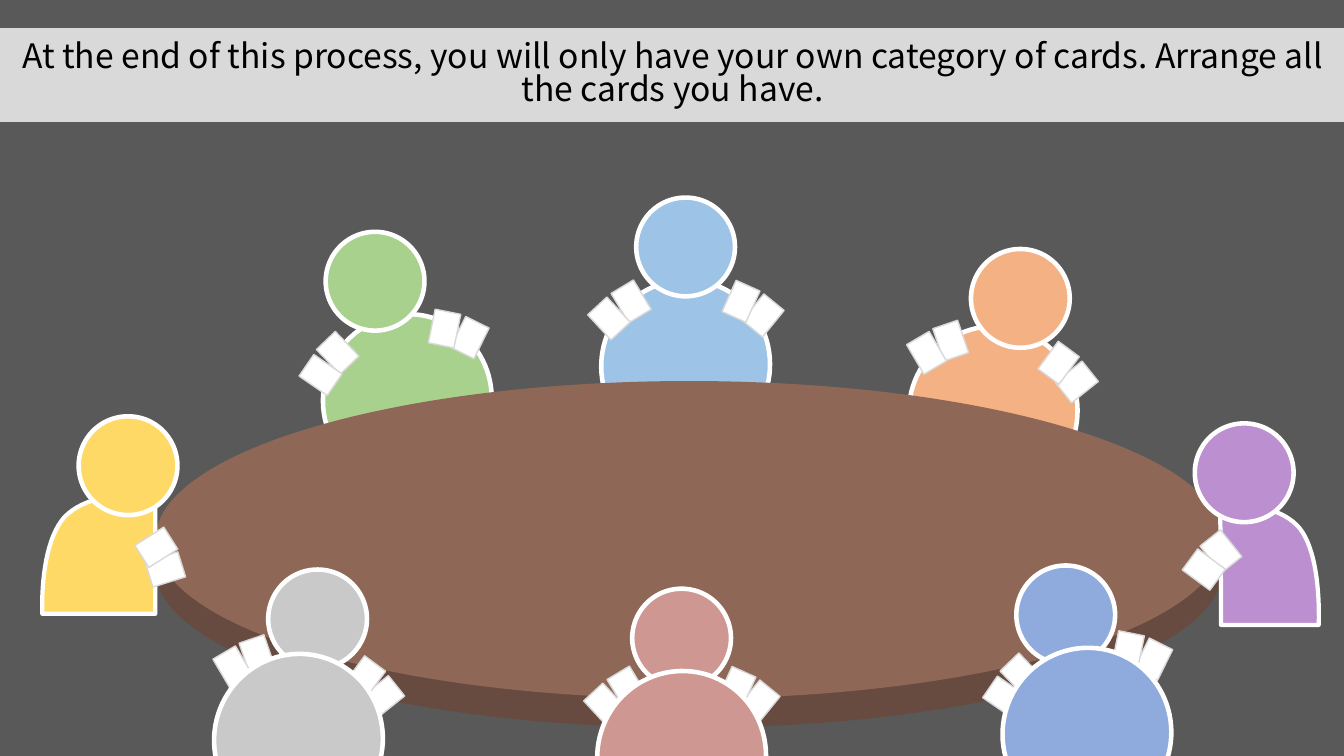
from collections import namedtuple
from dataclasses import dataclass

from pptx import Presentation
from pptx.dml.color import RGBColor
from pptx.enum.shapes import MSO_SHAPE
from pptx.enum.text import MSO_ANCHOR, MSO_AUTO_SIZE, PP_ALIGN
from pptx.util import Inches, Pt


@dataclass(frozen=True)
class Theme:
    back: str = "595959"
    band: str = "D9D9D9"
    ink: str = "000000"
    white: str = "FFFFFF"
    edge: str = "D9D9D9"
    top: str = "8F6757"
    rim: str = "684B40"
    font: str = "Noto Sans CJK KR"
    size: float = 24
    thick: float = 3.25
    coat: float = 3
    thin: float = 1


# Colour, head corner, body corner, corner of the hands, pose of the cards
Guest = namedtuple("Guest", "color head body hands pose")
Side = namedtuple("Side", "color head start curves cards")

# Cards as offset from the hands and turn in degrees
LEFT = [(1.48, 0.09, 26.4), (1.23, 0, 11.4), (0.17, 0.24, 316.1), (0, 0.46, 304.5)]
MID = [(1.53, 0.14, 39.1), (1.31, 0, 24.2), (0.22, 0, 328.9), (0, 0.17, 317.2)]
RIGHT = [(1.49, 0.41, 51.4), (1.31, 0.22, 36.4), (0.24, 0, 341.1), (0, 0.12, 329.5)]

FAR = [
    Guest("F4B183", (9.63, 2.47), (9, 3.25), (9.06, 3.21), RIGHT),
    Guest("9DC3E6", (6.31, 1.96), (5.95, 2.79), (5.91, 2.82), MID),
    Guest("A9D18E", (3.23, 2.3), (3.19, 3.13), (3.05, 3.09), LEFT),
]
NEAR = [
    Guest("8FAADC", (10.08, 5.61), (9.93, 6.44), (9.83, 6.28), LEFT),
    Guest("CF9791", (6.27, 5.84), (5.91, 6.67), (5.87, 6.65), MID),
    Guest("C9C9C9", (2.66, 5.65), (2.11, 6.5), (2.18, 6.33), RIGHT),
]
# Each curve gives two control points and its end
SIDES = [
    Side("BC90D0", (11.85, 4.2), (13.08, 6.2), [
        ((13.09, 5.86), (13.05, 5.44), (12.89, 5.24)),
        ((12.72, 5.04), (12.41, 5), (12.1, 5)),
        ((12.11, 5.4), (12.11, 5.8), (12.11, 6.2)),
    ], [(11.98, 5.3, 321.4), (11.81, 5.48, 306.4)]),
    Side("FFD966", (0.78, 4.13), (0.42, 6.09), [
        ((0.41, 5.75), (0.46, 5.33), (0.64, 5.13)),
        ((0.83, 4.93), (1.19, 4.89), (1.54, 4.89)),
        ((1.54, 5.29), (1.54, 5.69), (1.54, 6.09)),
    ], [(1.51, 5.48, 72.6), (1.42, 5.26, 57.6)]),
]


def bend(start, curves, steps=16):
    """Return points along a chain of cubic curves."""
    points = []
    for one, two, end in curves:
        for step in range(1, steps + 1):
            t = step / steps
            u = 1 - t
            points.append(tuple(
                u**3 * a + 3 * u * u * t * b + 3 * u * t * t * c + t**3 * d
                for a, b, c, d in zip(start, one, two, end)))
        start = end
    return points


class Scene:
    def __init__(self, slide, theme):
        self.slide = slide
        self.theme = theme
        fill = slide.background.fill
        fill.solid()
        fill.fore_color.rgb = RGBColor.from_string(theme.back)

    def paint(self, shape, fill, line=None, width=0):
        shape.shadow.inherit = False
        shape.fill.solid()
        shape.fill.fore_color.rgb = RGBColor.from_string(fill)
        if line:
            shape.line.color.rgb = RGBColor.from_string(line)
            shape.line.width = Pt(width)
        else:
            shape.line.fill.background()

    def add(self, kind, x, y, w, h, fill, line=None, width=0, turn=0):
        shape = self.slide.shapes.add_shape(
            kind, Inches(x), Inches(y), Inches(w), Inches(h))
        shape.rotation = turn
        self.paint(shape, fill, line, width)

    def title(self, text):
        look = self.theme
        box = self.slide.shapes.title
        box.left, box.top = Inches(-0.1), Inches(0.28)
        box.width, box.height = Inches(13.54), Inches(0.93)
        box.fill.solid()
        box.fill.fore_color.rgb = RGBColor.from_string(look.band)
        frame = box.text_frame
        frame.text = text
        frame.word_wrap = True
        frame.auto_size = MSO_AUTO_SIZE.NONE
        frame.vertical_anchor = MSO_ANCHOR.MIDDLE
        para = frame.paragraphs[0]
        para.alignment = PP_ALIGN.CENTER
        para.line_spacing = 0.82
        font = para.runs[0].font
        font.name, font.size = look.font, Pt(look.size)
        font.color.rgb = RGBColor.from_string(look.ink)

    def table(self):
        for y, color in ((4.07, self.theme.rim), (3.78, self.theme.top)):
            self.add(MSO_SHAPE.OVAL, 1.54, y, 10.59, 3.15, color)

    def head(self, guest):
        self.add(MSO_SHAPE.OVAL, *guest.head, 0.98, 0.98, guest.color,
                 self.theme.white, self.theme.thick)

    def body(self, guest):
        self.add(MSO_SHAPE.CHORD, *guest.body, 1.7, 1.67, guest.color,
                 self.theme.white, self.theme.thick, 111.4)

    def torso(self, side):
        """Draw the body of a guest seen from the side."""
        x, y = side.start
        pen = self.slide.shapes.build_freeform(Inches(x), Inches(y))
        pen.add_line_segments(
            [(Inches(a), Inches(b)) for a, b in bend(side.start, side.curves)],
            close=True)
        self.paint(pen.convert_to_shape(), side.color, self.theme.white, self.theme.coat)

    def cards(self, pose, x=0, y=0):
        for dx, dy, turn in pose:
            self.add(MSO_SHAPE.RECTANGLE, x + dx, y + dy, 0.26, 0.34,
                     self.theme.white, self.theme.edge, self.theme.thin, turn)


def main():
    deck = Presentation()
    deck.slide_width, deck.slide_height = Inches(13.33), Inches(7.5)
    scene = Scene(deck.slides.add_slide(deck.slide_layouts[5]), Theme())
    scene.title("At the end of this process, you will only have your own "
                "category of cards. Arrange all the cards you have.")
    for guest in FAR:
        scene.body(guest)
    scene.table()
    for side in SIDES:
        scene.torso(side)
    for guest in FAR + NEAR + SIDES:
        scene.head(guest)
    for side in SIDES:
        scene.cards(side.cards)
    for guest in FAR + NEAR:
        scene.cards(guest.pose, *guest.hands)
    for guest in NEAR:
        scene.body(guest)
    deck.save("out.pptx")


if __name__ == "__main__":
    main()
